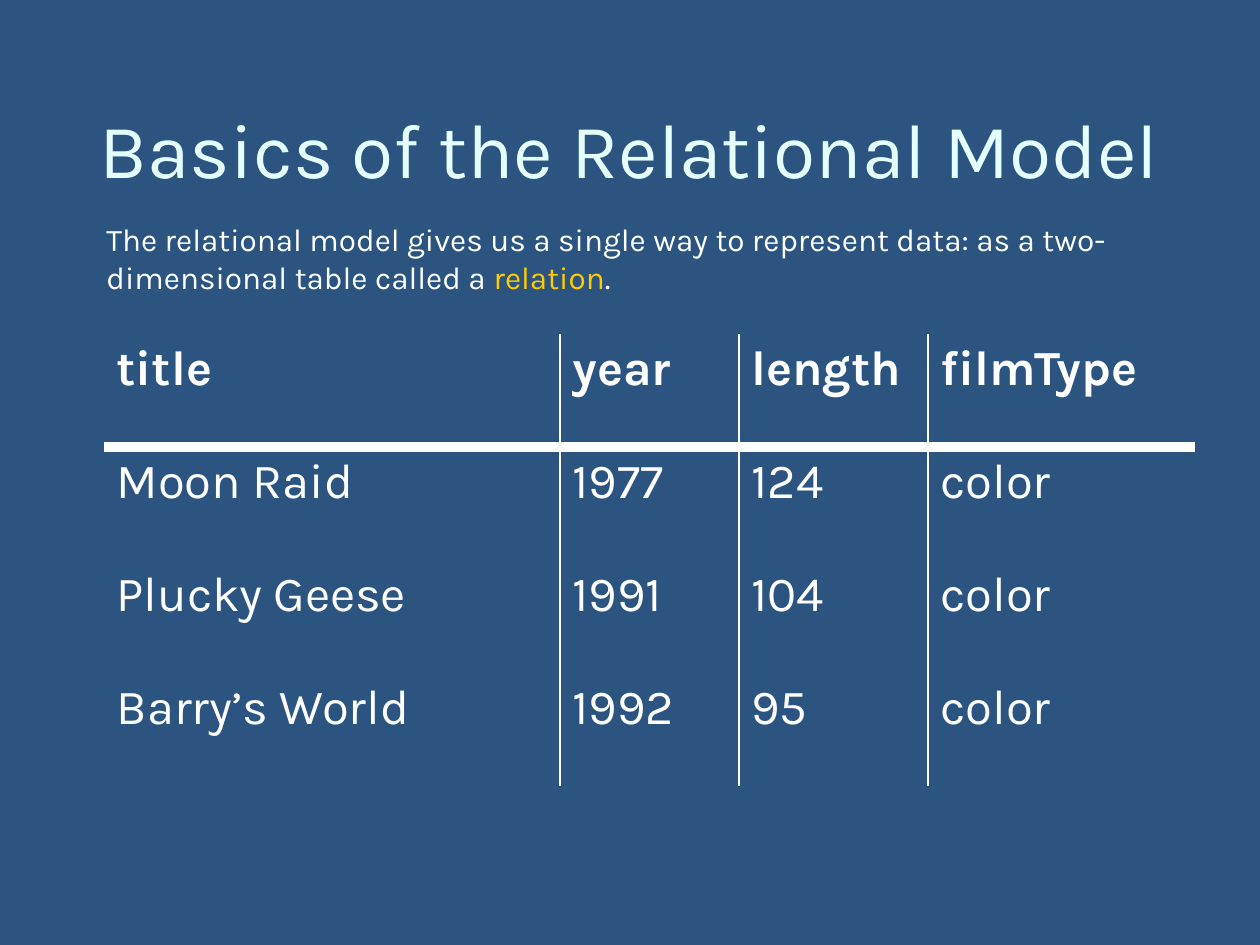
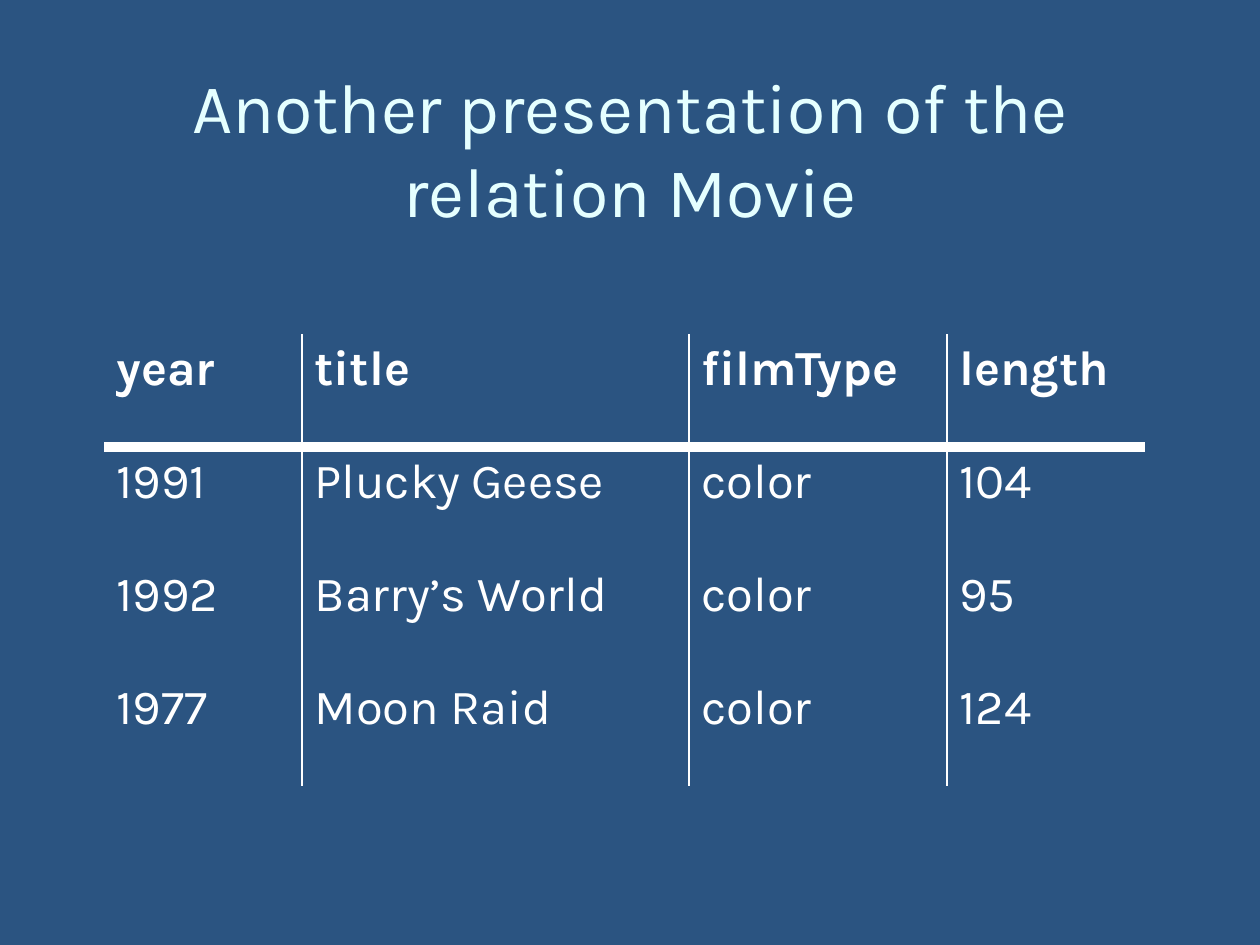
from lxml.etree import SubElement
from pptx import Presentation
from pptx.dml.color import RGBColor
from pptx.enum.text import MSO_ANCHOR, MSO_AUTO_SIZE, PP_ALIGN
from pptx.oxml.ns import qn
from pptx.util import Emu, Pt

PIXELS_PER_INCH = 126
FONT = "Karla"
BACKGROUND, TITLE_COLOR, WHITE, ACCENT = "2B5481", "E5FFFF", "FFFFFF", "FFCC00"
TITLE_BOX = (63, 53, 1134, 189)
INTRO_BOX = (94, 214, 1114, 88)
TABLE_LEFT, TABLE_TOP, ROW_HEIGHT = 104, 334, 113
GRID_WIDTH, HEADER_RULE_WIDTH = 1, 6

FILMS = [
    {"title": "Moon Raid", "year": "1977", "length": "124", "filmType": "color"},
    {"title": "Plucky Geese", "year": "1991", "length": "104", "filmType": "color"},
    {"title": "Barry’s World", "year": "1992", "length": "95", "filmType": "color"},
]


def px(length):
    return Emu(round(length * 914400 / PIXELS_PER_INCH))


def rgb(value):
    return RGBColor.from_string(value)


def write(paragraph, text, size, color=WHITE, bold=False, align=PP_ALIGN.LEFT):
    """Append a formatted run to the paragraph."""
    paragraph.alignment = align
    run = paragraph.add_run()
    run.text = text
    run.font.name = FONT
    run.font.size = Pt(size)
    run.font.bold = bold
    run.font.color.rgb = rgb(color)


def place(shape, box):
    shape.left, shape.top, shape.width, shape.height = map(px, box)


def add_titled_slide(presentation, title, size):
    slide = presentation.slides.add_slide(presentation.slide_layouts[5])
    slide.background.fill.solid()
    slide.background.fill.fore_color.rgb = rgb(BACKGROUND)
    place(slide.shapes.title, TITLE_BOX)
    frame = slide.shapes.title.text_frame
    frame.auto_size = MSO_AUTO_SIZE.NONE
    frame.vertical_anchor = MSO_ANCHOR.MIDDLE
    write(frame.paragraphs[0], title, size, TITLE_COLOR, align=PP_ALIGN.CENTER)
    return slide


def add_intro(slide, box, pieces):
    """Add one paragraph made of (text, color) pieces."""
    frame = slide.shapes.add_textbox(*map(px, box)).text_frame
    frame.word_wrap = True
    for text, color in pieces:
        write(frame.paragraphs[0], text, 18, color)


def set_borders(cell, **widths):
    """Draw the four cell edges; a width of 0 hides the edge."""
    properties = cell._tc.get_or_add_tcPr()
    for side in ("L", "R", "T", "B"):
        width = widths[side]
        line = SubElement(properties, qn(f"a:ln{side}"), w=str(Pt(width)))
        if width:
            fill = SubElement(line, qn("a:solidFill"))
            SubElement(fill, qn("a:srgbClr"), val=WHITE)
        else:
            SubElement(line, qn("a:noFill"))


def add_relation(slide, left, top, columns, films):
    """Add a table; columns maps each attribute to its width."""
    rows = [list(columns)] + [[film[name] for name in columns] for film in films]
    table = slide.shapes.add_table(
        len(rows), len(columns), px(left), px(top),
        px(sum(columns.values())), px(ROW_HEIGHT * len(rows))).table
    table.first_row = table.horz_banding = False
    for column, width in zip(table.columns, columns.values()):
        column.width = px(width)

    last_row, last_column = len(rows) - 1, len(columns) - 1
    for row_index, values in enumerate(rows):
        table.rows[row_index].height = px(ROW_HEIGHT)
        for column_index, value in enumerate(values):
            cell = table.cell(row_index, column_index)
            write(cell.text_frame.paragraphs[0], value, 28, bold=row_index == 0)
            # Inner vertical lines and one heavy rule below the header
            set_borders(
                cell,
                L=GRID_WIDTH if column_index > 0 else 0,
                R=GRID_WIDTH if column_index < last_column else 0,
                T=HEADER_RULE_WIDTH if row_index == 1 else 0,
                B=HEADER_RULE_WIDTH if row_index == 0 and last_row else 0)
            cell.fill.background()


def add_basics_slide(presentation):
    slide = add_titled_slide(presentation, "Basics of the Relational Model", 44)
    columns = {"title": 456, "year": 179, "length": 189, "filmType": 267}
    add_relation(slide, TABLE_LEFT, TABLE_TOP, columns, FILMS)
    add_intro(slide, INTRO_BOX, [
        ("The relational model gives us a single way to represent data: "
         "as a two-dimensional table called a ", WHITE),
        ("relation", ACCENT),
        (".", WHITE),
    ])


def add_reordered_slide(presentation):
    slide = add_titled_slide(
        presentation, "Another presentation of the relation Movie", 40)
    columns = {"year": 198, "title": 387, "filmType": 258, "length": 198}
    add_relation(slide, TABLE_LEFT, TABLE_TOP, columns, FILMS[1:] + FILMS[:1])


def main():
    presentation = Presentation()
    presentation.slide_width, presentation.slide_height = px(1260), px(945)
    add_basics_slide(presentation)
    add_reordered_slide(presentation)
    presentation.save("out.pptx")


if __name__ == "__main__":
    main()
